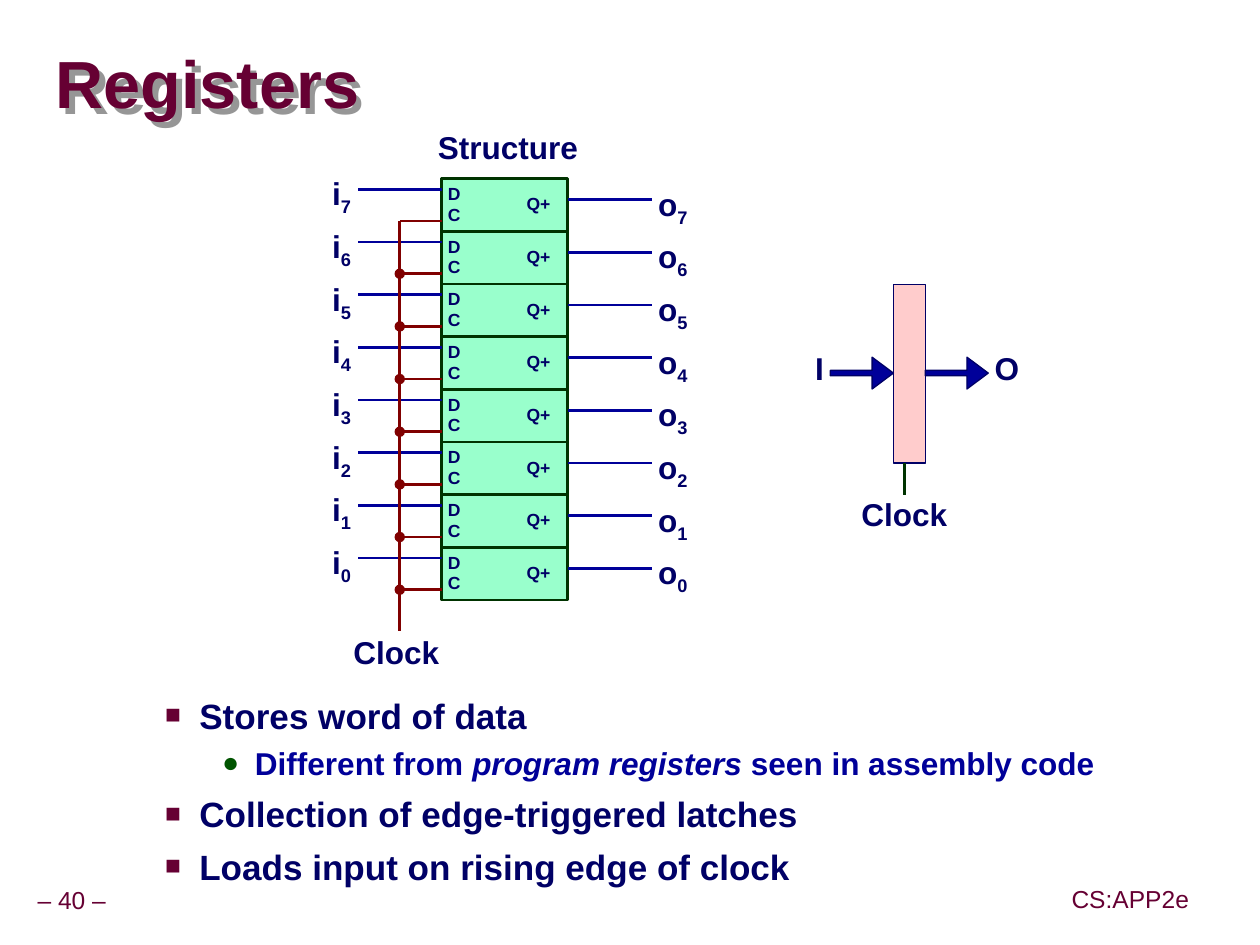
"""Build the Registers slide: latch structure, register symbol and notes."""
from lxml.etree import SubElement
from pptx import Presentation
from pptx.dml.color import RGBColor
from pptx.enum.shapes import MSO_CONNECTOR, MSO_SHAPE
from pptx.enum.text import MSO_ANCHOR, MSO_AUTO_SIZE, PP_ALIGN
from pptx.oxml.ns import qn
from pptx.util import Cm, Pt

MAROON = RGBColor(0x66, 0x00, 0x33)
NAVY = RGBColor(0x00, 0x00, 0x66)
BLUE = RGBColor(0x00, 0x00, 0x99)
RED = RGBColor(0x80, 0x00, 0x00)
DARK_GREEN = RGBColor(0x00, 0x33, 0x00)
BULLET_GREEN = RGBColor(0x00, 0x54, 0x00)
MINT = RGBColor(0x99, 0xFF, 0xCC)
PINK = RGBColor(0xFF, 0xCC, 0xCC)
GRAY = RGBColor(0x96, 0x96, 0x96)

TITLE = "Registers"
NOTES = [
    (1, [("Stores word of data", False)]),
    (2, [("Different from ", False), ("program registers", True),
         (" seen in assembly code", False)]),
    (1, [("Collection of edge-triggered latches", False)]),
    (1, [("Loads input on rising edge of clock", False)]),
]
LEVELS = {
    1: dict(size=20, color=NAVY, bullet="■", bullet_color=MAROON, scale=75,
            left=2.06, hanging=0.69, before=6, spacing=1.0),
    2: dict(size=18, color=BLUE, bullet="●", bullet_color=BULLET_GREEN, scale=90,
            left=3.18, hanging=0.66, before=3, spacing=1.07),
}
FOOTERS = [("– 40 –", 0.42, 17.75, 2.05), ("CS:APP2e", 21.24, 17.73, 3.04)]

BITS = 8
ROW_TOP, ROW_HEIGHT = 3.6, 1.06
LATCH_LEFT, LATCH_WIDTH = 8.89, 2.54
LATCH_RIGHT = LATCH_LEFT + LATCH_WIDTH
WIRE_LENGTH = 1.69
BUS_X, BUS_BOTTOM = 8.05, 12.7
DOT = 0.21
LABEL_WIDTH, LABEL_HEIGHT = 1.27, 0.94
PIN_HEIGHT = 0.64
SYMBOL_LEFT, SYMBOL_WIDTH = 17.99, 0.64
ARROW_LENGTH, ARROW_TOP = 1.27, 7.19


def style_run(run, size, color, bold=True, italic=False):
    """Set the character format of one run."""
    run.font.name = "Arial"
    run.font.size = Pt(size)
    run.font.bold = bold
    run.font.italic = italic
    run.font.color.rgb = color


def add_label(shapes, text, left, top, width, height, size=18,
              align=PP_ALIGN.CENTER, color=NAVY, bold=True, subscript=""):
    """Add a text label with an optional subscript."""
    frame = shapes.add_textbox(Cm(left), Cm(top), Cm(width), Cm(height)).text_frame
    frame.word_wrap = True
    frame.margin_left = frame.margin_right = Cm(0.13)
    frame.margin_top = frame.margin_bottom = Cm(0.13)
    paragraph = frame.paragraphs[0]
    paragraph.alignment = align
    paragraph.line_spacing = 0.9
    for part, baseline in ((text, None), (subscript, "-25000")):
        if part:
            run = paragraph.add_run()
            run.text = part
            style_run(run, size, color, bold)
            if baseline:
                run.font._element.set("baseline", baseline)


def add_block(shapes, kind, left, top, width, height, fill, line=None, weight=0.75):
    """Add a filled preset shape and return it."""
    shape = shapes.add_shape(kind, Cm(left), Cm(top), Cm(width), Cm(height))
    shape.shadow.inherit = False
    shape.fill.solid()
    shape.fill.fore_color.rgb = fill
    if line is None:
        shape.line.fill.background()
    else:
        shape.line.color.rgb = line
        shape.line.width = Pt(weight)
    return shape


def add_wire(shapes, start_x, start_y, end_x, end_y, color):
    """Add a straight wire."""
    wire = shapes.add_connector(MSO_CONNECTOR.STRAIGHT, Cm(start_x), Cm(start_y),
                                Cm(end_x), Cm(end_y))
    wire.line.color.rgb = color
    wire.line.width = Pt(1.5)
    SubElement(wire._element.spPr, qn("a:effectLst"))


def add_bullet(paragraph, level):
    """Give a paragraph its indents and bullet."""
    properties = paragraph._p.get_or_add_pPr()
    properties.set("marL", str(Cm(level["left"])))
    properties.set("indent", str(-Cm(level["hanging"])))
    bullet_color = SubElement(properties, qn("a:buClr"))
    SubElement(bullet_color, qn("a:srgbClr"), val=str(level["bullet_color"]))
    SubElement(properties, qn("a:buSzPct"), val=str(level["scale"] * 1000))
    SubElement(properties, qn("a:buFont"), typeface="Arial")
    SubElement(properties, qn("a:buChar"), char=level["bullet"])


def place(shape, left, top, width, height):
    """Move and size a placeholder."""
    shape.left, shape.top = Cm(left), Cm(top)
    shape.width, shape.height = Cm(width), Cm(height)


def fill_title(title):
    """Write the shadowed title."""
    place(title, 1.12, 0.69, 24.18, 2.16)
    frame = title.text_frame
    frame.auto_size = MSO_AUTO_SIZE.NONE
    frame.vertical_anchor = MSO_ANCHOR.MIDDLE
    frame.margin_left = frame.margin_right = frame.margin_top = frame.margin_bottom = 0
    paragraph = frame.paragraphs[0]
    paragraph.alignment = PP_ALIGN.LEFT
    paragraph.line_spacing = 0.87
    run = paragraph.add_run()
    run.text = TITLE
    style_run(run, 38, MAROON)
    effects = SubElement(title._element.spPr, qn("a:effectLst"))
    shadow = SubElement(effects, qn("a:outerShdw"), dist=str(Cm(0.16)), dir="2700000")
    SubElement(shadow, qn("a:srgbClr"), val=str(GRAY))


def fill_notes(body):
    """Write the bulleted notes."""
    place(body, 1.7, 13.84, 23.04, 4)
    frame = body.text_frame
    frame.auto_size = MSO_AUTO_SIZE.NONE
    for index, (depth, parts) in enumerate(NOTES):
        level = LEVELS[depth]
        paragraph = frame.add_paragraph() if index else frame.paragraphs[0]
        paragraph.level = depth
        add_bullet(paragraph, level)
        paragraph.space_before = Pt(level["before"] if index else 0)
        paragraph.line_spacing = level["spacing"]
        for text, italic in parts:
            run = paragraph.add_run()
            run.text = text
            style_run(run, level["size"], level["color"], italic=italic)


def draw_structure(shapes):
    """Draw the column of latches with its wires and clock bus."""
    left, right = PP_ALIGN.LEFT, PP_ALIGN.RIGHT
    for row in range(BITS):
        top = ROW_TOP + row * ROW_HEIGHT
        bit = str(BITS - 1 - row)
        input_y, output_y, clock_y = top + 0.21, top + 0.42, top + 0.85
        add_block(shapes, MSO_SHAPE.RECTANGLE, LATCH_LEFT, top, LATCH_WIDTH, ROW_HEIGHT,
                  MINT, DARK_GREEN, 1.5)
        add_wire(shapes, LATCH_LEFT, input_y, LATCH_LEFT - WIRE_LENGTH, input_y, BLUE)
        add_wire(shapes, LATCH_RIGHT + WIRE_LENGTH, output_y, LATCH_RIGHT, output_y, BLUE)
        add_wire(shapes, LATCH_LEFT, clock_y, BUS_X, clock_y, RED)
        if row:
            add_block(shapes, MSO_SHAPE.OVAL, BUS_X - DOT / 2, clock_y - DOT / 2,
                      DOT, DOT, RED)
        add_label(shapes, "D", LATCH_LEFT, top, 0.64, PIN_HEIGHT, 10, left)
        add_label(shapes, "C", LATCH_LEFT, top + 0.42, 0.64, PIN_HEIGHT, 10, left)
        add_label(shapes, "Q+", 10.37, top + 0.21, 0.84, PIN_HEIGHT, 10, right)
        add_label(shapes, "i", LATCH_LEFT - WIRE_LENGTH - LABEL_WIDTH, top - 0.21,
                  LABEL_WIDTH, LABEL_HEIGHT, align=right, subscript=bit)
        add_label(shapes, "o", LATCH_RIGHT + WIRE_LENGTH, top, LABEL_WIDTH, LABEL_HEIGHT,
                  align=left, subscript=bit)
    add_wire(shapes, BUS_X, ROW_TOP + 0.85, BUS_X, BUS_BOTTOM, RED)
    add_label(shapes, "Clock", 6.73, BUS_BOTTOM, 2.5, LABEL_HEIGHT)


def draw_symbol(shapes):
    """Draw the compact register symbol."""
    symbol_right = SYMBOL_LEFT + SYMBOL_WIDTH
    add_block(shapes, MSO_SHAPE.RECTANGLE, SYMBOL_LEFT, 5.72, SYMBOL_WIDTH, 3.6, PINK, NAVY)
    for arrow_left in (SYMBOL_LEFT - ARROW_LENGTH, symbol_right):
        arrow = add_block(shapes, MSO_SHAPE.RIGHT_ARROW, arrow_left, ARROW_TOP,
                          ARROW_LENGTH, 0.64, BLUE, NAVY)
        arrow.adjustments[0], arrow.adjustments[1] = 0.17, 0.67
    add_label(shapes, "I", SYMBOL_LEFT - ARROW_LENGTH - LABEL_WIDTH, 6.99,
              LABEL_WIDTH, LABEL_HEIGHT, align=PP_ALIGN.RIGHT)
    add_label(shapes, "O", symbol_right + ARROW_LENGTH, 6.99, LABEL_WIDTH, LABEL_HEIGHT,
              align=PP_ALIGN.LEFT)
    add_wire(shapes, 18.21, 9.32, 18.21, 9.96, DARK_GREEN)
    add_label(shapes, "Clock", 16.96, 9.91, 2.5, LABEL_HEIGHT)


def main():
    """Assemble and save the slide."""
    presentation = Presentation()
    presentation.slide_width, presentation.slide_height = Cm(25.37), Cm(19.02)
    slide = presentation.slides.add_slide(presentation.slide_layouts[1])
    fill_title(slide.shapes.title)
    fill_notes(slide.placeholders[1])
    for text, left, top, width in FOOTERS:
        add_label(slide.shapes, text, left, top, width, 0.79, 14, color=MAROON, bold=False)
    draw_symbol(slide.shapes.add_group_shape().shapes)
    draw_structure(slide.shapes.add_group_shape().shapes)
    add_label(slide.shapes, "Structure", 8.48, 2.54, 3.5, LABEL_HEIGHT)
    presentation.save("out.pptx")


if __name__ == "__main__":
    main()
